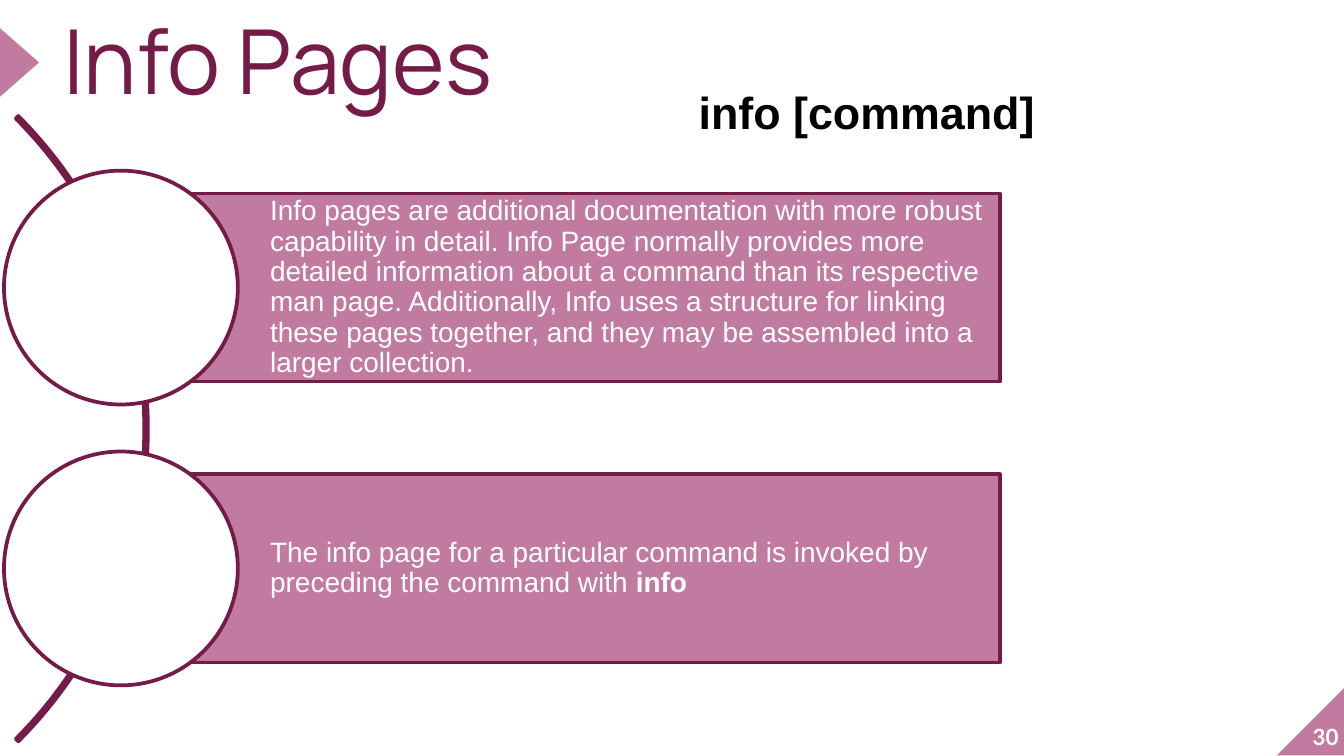
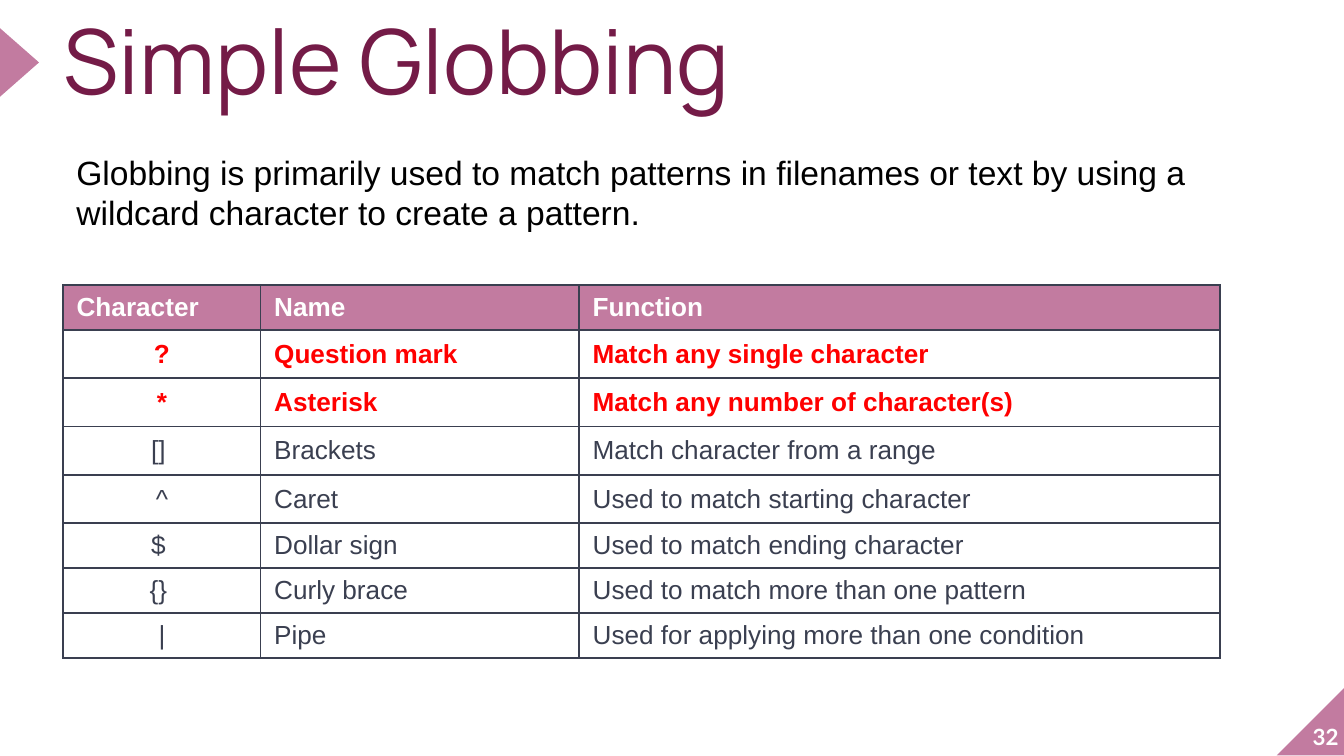
from dataclasses import dataclass

from lxml import etree
from pptx import Presentation
from pptx.dml.color import RGBColor
from pptx.enum.shapes import MSO_SHAPE
from pptx.enum.text import MSO_ANCHOR, PP_ALIGN
from pptx.oxml.ns import qn
from pptx.util import Inches, Pt

RECTANGLE, ELLIPSE = MSO_SHAPE.RECTANGLE, MSO_SHAPE.OVAL
TRIANGLE, CORNER = MSO_SHAPE.ISOSCELES_TRIANGLE, MSO_SHAPE.RIGHT_TRIANGLE
ARC = MSO_SHAPE.BLOCK_ARC
TOP, MIDDLE, BOTTOM = MSO_ANCHOR.TOP, MSO_ANCHOR.MIDDLE, MSO_ANCHOR.BOTTOM
LEFT, CENTER, RIGHT = PP_ALIGN.LEFT, PP_ALIGN.CENTER, PP_ALIGN.RIGHT


@dataclass(frozen=True)
class Theme:
    rose: str = "C27BA0"
    plum: str = "741B47"
    slate: str = "3A3F50"
    red: str = "FF0000"
    white: str = "FFFFFF"
    black: str = "000000"
    title_font: str = "Manrope"
    number_font: str = "Lato"
    body_font: str = "Arial"
    title_size: int = 48
    command_size: int = 24
    intro_size: int = 18
    bar_size: int = 15
    table_size: int = 14
    number_size: int = 12
    outline: int = 2
    border: int = 1


THEME = Theme()

INFO_TITLE = "Info Pages"
INFO_NUMBER = "30"
INFO_COMMAND = "info [command]"
INFO_POINTS = [
    [("Info pages are additional documentation with more robust capability in detail. "
      "Info Page normally provides more detailed information about a command than its "
      "respective man page. Additionally, Info uses a structure for linking these pages "
      "together, and they may be assembled into a larger collection.", False)],
    [("The info page for a particular command is invoked by preceding the command with ", False),
     ("info", True)],
]

GLOB_TITLE = "Simple Globbing"
GLOB_NUMBER = "32"
GLOB_INTRO = ("Globbing is primarily used to match patterns in filenames or text by using a "
              "wildcard character to create a pattern.")
GLOB_HEADER = ("Character", "Name", "Function")
GLOB_ROWS = [
    ("?", "Question mark", "Match any single character"),
    ("*", "Asterisk", "Match any number of character(s)"),
    ("[] ", "Brackets", "Match character from a range"),
    ("^", "Caret", "Used to match starting character"),
    ("$ ", "Dollar sign", "Used to match ending character"),
    ("{} ", "Curly brace", "Used to match more than one pattern"),
    ("|", "Pipe", "Used for applying more than one condition"),
]
HIGHLIGHTED = ("?", "*")
COLUMN_WIDTHS = (1.47, 2.37, 4.77)
ROW_HEIGHTS = (0.24,) + (0.36,) * 4 + (0.24,) * 3


def style(paragraph, font, size, color, bold=None, align=LEFT, spacing=None):
    paragraph.alignment = align
    paragraph.font.name = font
    paragraph.font.size = Pt(size)
    paragraph.font.color.rgb = RGBColor.from_string(color)
    if bold is not None:
        paragraph.font.bold = bold
    if spacing:
        paragraph.line_spacing = spacing


def set_frame(frame, margins, anchor):
    frame.word_wrap = True
    frame.vertical_anchor = anchor
    frame.margin_left, frame.margin_top, frame.margin_right, frame.margin_bottom = map(Inches, margins)


def add_text(slide, box, text, font, size, color, margins=(0.1, 0.05, 0.1, 0.05),
             anchor=TOP, **look):
    frame = slide.shapes.add_textbox(*map(Inches, box)).text_frame
    set_frame(frame, margins, anchor)
    frame.paragraphs[0].text = text
    style(frame.paragraphs[0], font, size, color, **look)


def add_figure(slide, preset, box, fill=None, line=None):
    figure = slide.shapes.add_shape(preset, *map(Inches, box))
    figure.shadow.inherit = False
    if fill:
        figure.fill.solid()
        figure.fill.fore_color.rgb = RGBColor.from_string(fill)
    else:
        figure.fill.background()
    if line:
        figure.line.color.rgb = RGBColor.from_string(line)
        figure.line.width = Pt(THEME.outline)
    else:
        figure.line.fill.background()
    return figure


def add_base_slide(deck, title, title_width, number):
    slide = deck.slides.add_slide(deck.slide_layouts[6])
    corner = add_figure(slide, CORNER, (9.5, 5.11, 0.51, 0.51), THEME.rose)
    corner.element.spPr.xfrm.set("flipH", "1")
    pointer = add_figure(slide, TRIANGLE, (-0.11, 0.32, 0.51, 0.29), THEME.rose)
    pointer.rotation = 90
    no_margins = (0, 0, 0, 0)
    add_text(slide, (9.46, 5.07, 0.5, 0.51), number, THEME.number_font, THEME.number_size,
             THEME.white, no_margins, BOTTOM, bold=True, align=RIGHT)
    add_text(slide, (0.47, 0.19, title_width, 0.69), title, THEME.title_font,
             THEME.title_size, THEME.plum, no_margins, spacing=0.8)
    return slide


def add_point(slide, top, runs):
    bar_left, bar_width, bar_height, diameter = 0.9, 6.54, 1.4, 1.74
    bar = add_figure(slide, RECTANGLE, (bar_left, top, bar_width, bar_height),
                     THEME.rose, THEME.plum)
    set_frame(bar.text_frame, (1.11, 0.04, 0.04, 0.04), MIDDLE)
    paragraph = bar.text_frame.paragraphs[0]
    for text, bold in runs:
        run = paragraph.add_run()
        run.text = text
        run.font.bold = bold
    style(paragraph, THEME.body_font, THEME.bar_size, THEME.white, spacing=0.9)
    add_figure(slide, ELLIPSE,
               (bar_left - diameter / 2, top + (bar_height - diameter) / 2, diameter, diameter),
               THEME.white, THEME.plum)


def build_info_slide(deck):
    slide = add_base_slide(deck, INFO_TITLE, 6.17, INFO_NUMBER)
    arc = add_figure(slide, ARC, (-5.48, -0.1, 6.58, 6.58), line=THEME.plum)
    for index, value in enumerate((189, 27, 0.004)):
        arc.adjustments[index] = value
    for index, runs in enumerate(INFO_POINTS):
        add_point(slide, 1.44 + index * 2.09, runs)
    add_text(slide, (5.1, 0.58, 3.59, 0.51), INFO_COMMAND, THEME.body_font,
             THEME.command_size, THEME.black, bold=True)


def add_borders(cell):
    properties = cell._tc.get_or_add_tcPr()
    for side in ("lnL", "lnR", "lnT", "lnB"):
        border = etree.SubElement(properties, qn(f"a:{side}"), w=str(Pt(THEME.border)))
        fill = etree.SubElement(border, qn("a:solidFill"))
        etree.SubElement(fill, qn("a:srgbClr"), val=THEME.slate)


def fill_cell(cell, text, color, bold, align, fill=None):
    cell.text = text
    cell.vertical_anchor = MIDDLE
    style(cell.text_frame.paragraphs[0], THEME.body_font, THEME.table_size, color, bold, align)
    add_borders(cell)
    if fill:
        cell.fill.solid()
        cell.fill.fore_color.rgb = RGBColor.from_string(fill)
    else:
        cell.fill.background()


def build_globbing_slide(deck):
    slide = add_base_slide(deck, GLOB_TITLE, 7.3, GLOB_NUMBER)
    add_text(slide, (0.47, 1.08, 8.99, 1.01), GLOB_INTRO, THEME.body_font,
             THEME.intro_size, THEME.black)
    table_height = Inches(2.76)
    holder = slide.shapes.add_table(
        len(ROW_HEIGHTS), len(COLUMN_WIDTHS), Inches(0.47), Inches(2.12),
        Inches(sum(COLUMN_WIDTHS)), table_height)
    wildcards = holder.table
    wildcards.horz_banding = False
    for column, width in zip(wildcards.columns, COLUMN_WIDTHS):
        column.width = Inches(width)
    for row, height in zip(wildcards.rows, ROW_HEIGHTS):
        row.height = Inches(height)
    holder.height = table_height
    for index, name in enumerate(GLOB_HEADER):
        fill_cell(wildcards.cell(0, index), name, THEME.white, True, LEFT, THEME.rose)
    for row_index, entry in enumerate(GLOB_ROWS, start=1):
        highlighted = entry[0] in HIGHLIGHTED
        color = THEME.red if highlighted else THEME.slate
        for index, text in enumerate(entry):
            fill_cell(wildcards.cell(row_index, index), text, color, highlighted,
                      LEFT if index else CENTER)


def main():
    deck = Presentation()
    deck.slide_width = Inches(10)
    deck.slide_height = deck.slide_width * 9 // 16
    build_info_slide(deck)
    build_globbing_slide(deck)
    deck.save("out.pptx")


if __name__ == "__main__":
    main()
